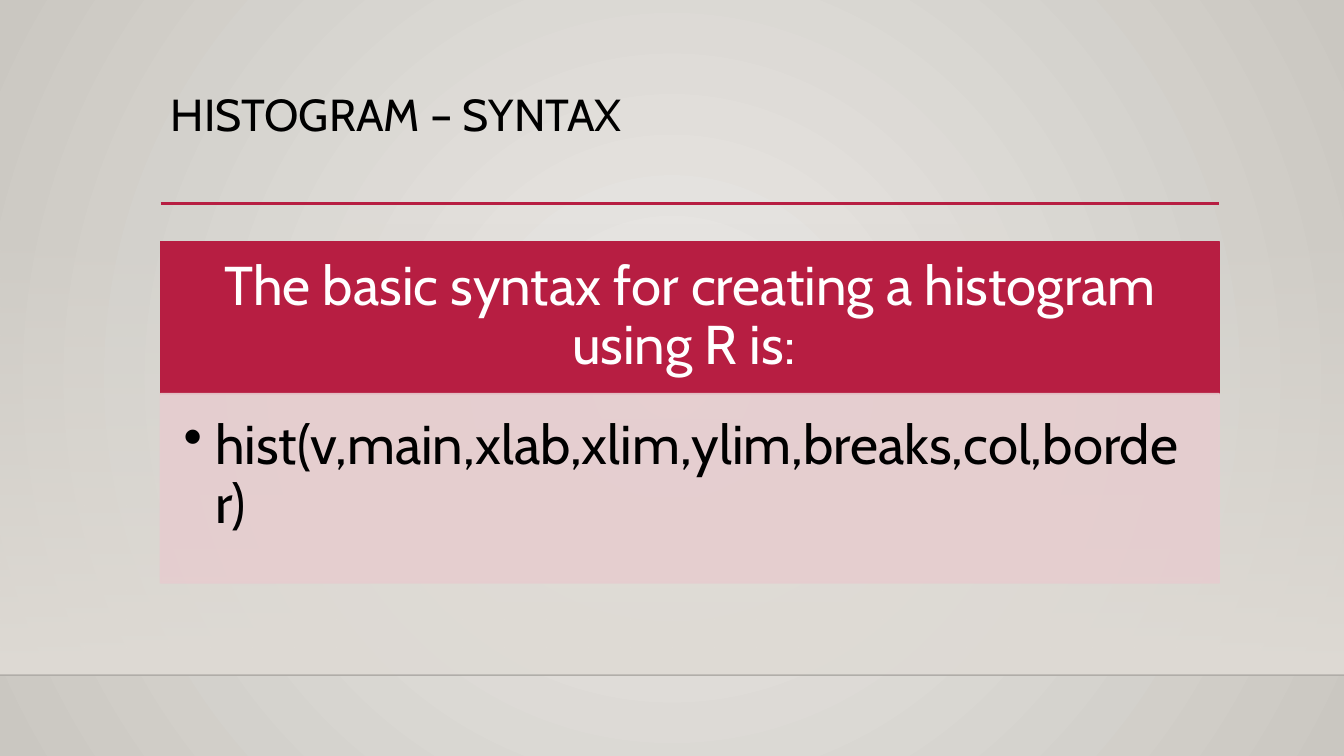
from dataclasses import dataclass

from lxml.etree import SubElement
from pptx import Presentation
from pptx.dml.color import RGBColor
from pptx.enum.shapes import MSO_CONNECTOR, MSO_SHAPE
from pptx.enum.text import MSO_ANCHOR as Anchor, MSO_AUTO_SIZE, PP_ALIGN as Align
from pptx.oxml.ns import qn
from pptx.util import Pt

PX = 9525  # EMU per px
WIDTH, HEIGHT = 1280, 720
LEFT, CONTENT_WIDTH = 153, 1008
FLOOR_Y = 643


@dataclass(frozen=True)
class Theme:
    font: str = "Cabin"
    title_size: int = 32
    panel_size: int = 39
    line_spacing: float = 0.9
    black: str = "000000"
    white: str = "FFFFFF"
    crimson: str = "B71E42"
    pink: str = "E6CDCF"
    wall_center: str = "ECEAE7"
    wall_edge: str = "CAC7C1"
    floor_glow: str = "DFDBD5"


THEME = Theme()


def box(*lengths):
    return [length * PX for length in lengths]


def set_alpha(element, percent):
    for color in element.iter(qn("a:srgbClr")):
        SubElement(color, qn("a:alpha"), val=str(percent * 1000))


def set_gradient(fill, owner, stops, circular=False):
    """Stops are (position, colour, opacity), all but the colour in percent."""
    fill.gradient()
    gradient = owner.find(".//" + qn("a:gradFill"))
    for child in list(gradient):
        gradient.remove(child)
    stop_list = SubElement(gradient, qn("a:gsLst"))
    for position, color, opacity in stops:
        stop = SubElement(stop_list, qn("a:gs"), pos=str(position * 1000))
        SubElement(stop, qn("a:srgbClr"), val=color)
        set_alpha(stop, opacity)
    if circular:
        circle = SubElement(gradient, qn("a:path"), path="circle")
        sides = dict.fromkeys("ltrb", "50000")
        SubElement(circle, qn("a:fillToRect"), sides)
    else:
        SubElement(gradient, qn("a:lin"), ang="5400000", scaled="0")


def add_rectangle(slide, bounds):
    shape = slide.shapes.add_shape(MSO_SHAPE.RECTANGLE, *box(*bounds))
    shape.shadow.inherit = False
    return shape


def add_rule(slide, left, right, y, color, weight, opacity=100):
    rule = slide.shapes.add_connector(
        MSO_CONNECTOR.STRAIGHT, *box(left, y, right, y))
    rule.line.color.rgb = RGBColor.from_string(color)
    rule.line.width = Pt(weight)
    properties = rule.element.spPr
    set_alpha(properties, opacity)
    SubElement(properties, qn("a:effectLst"))


def write_text(shape, text, size, color, align=Align.LEFT, anchor=Anchor.TOP):
    frame = shape.text_frame
    frame.word_wrap = True
    frame.auto_size = MSO_AUTO_SIZE.NONE
    frame.vertical_anchor = anchor
    paragraph = frame.paragraphs[0]
    paragraph.alignment = align
    paragraph.line_spacing = THEME.line_spacing
    run = paragraph.add_run()
    run.text = text
    run.font.name = THEME.font
    run.font.size = Pt(size)
    run.font.color.rgb = RGBColor.from_string(color)
    return paragraph


def add_bullet(paragraph, indent):
    properties = paragraph._p.get_or_add_pPr()
    properties.set("marL", str(indent * PX))
    properties.set("indent", str(-indent * PX))
    SubElement(properties, qn("a:buChar"), char="•")


def add_panel(slide, top, height, color, insets, opacity=100):
    panel = add_rectangle(slide, (LEFT, top, CONTENT_WIDTH, height))
    panel.fill.solid()
    panel.fill.fore_color.rgb = RGBColor.from_string(color)
    panel.line.color.rgb = RGBColor.from_string(color)
    panel.line.width = Pt(1.25)
    set_alpha(panel.element.spPr, opacity)
    frame = panel.text_frame
    (frame.margin_left, frame.margin_top,
     frame.margin_right, frame.margin_bottom) = box(*insets)
    return panel


def add_title(slide, text):
    title = slide.shapes.title
    title.left, title.top, title.width, title.height = box(
        LEFT, 84, CONTENT_WIDTH, 110)
    write_text(title, text, THEME.title_size, THEME.black)


def add_backdrop(slide):
    set_gradient(slide.background.fill, slide.element,
                 [(0, THEME.wall_center, 100), (100, THEME.wall_edge, 100)],
                 circular=True)
    glow = add_rectangle(slide, (0, 212, WIDTH, FLOOR_Y - 212))
    glow.line.fill.background()
    set_gradient(glow.fill, glow.element,
                 [(0, THEME.floor_glow, 0), (100, THEME.floor_glow, 100)])
    add_rule(slide, 0, WIDTH, FLOOR_Y, THEME.black, 1, opacity=20)


def main():
    presentation = Presentation()
    presentation.slide_width, presentation.slide_height = box(WIDTH, HEIGHT)
    slide = presentation.slides.add_slide(presentation.slide_layouts[5])

    # Wall, floor edge and title
    add_backdrop(slide)
    add_title(slide, "HISTOGRAM – SYNTAX")
    add_rule(slide, LEFT, LEFT + CONTENT_WIDTH, 194, THEME.crimson, 2.5)

    # Heading panel
    heading = add_panel(slide, 230, 145, THEME.crimson, (29, 16, 29, 16))
    write_text(heading, "The basic syntax for creating a histogram using R is: ",
               THEME.panel_size, THEME.white, Align.CENTER, Anchor.MIDDLE)

    # Syntax panel
    syntax = add_panel(slide, 375, 180, THEME.pink, (22, 22, 29, 33), opacity=90)
    call = write_text(syntax, "hist(v,main,xlab,xlim,ylim,breaks,col,border)",
                      THEME.panel_size, THEME.black)
    add_bullet(call, 30)

    presentation.save("out.pptx")


if __name__ == "__main__":
    main()
